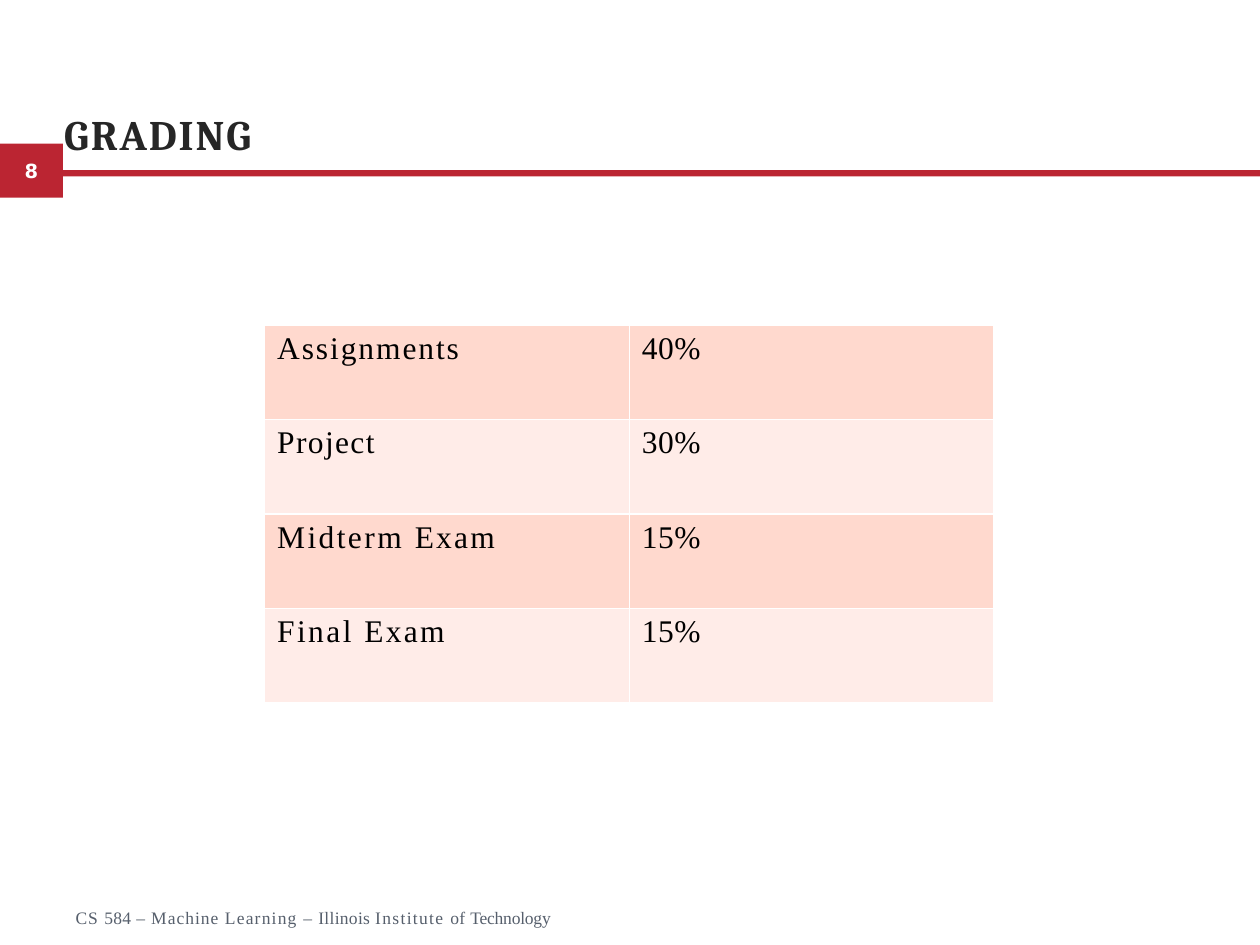
from lxml import etree
from pptx import Presentation
from pptx.dml.color import RGBColor
from pptx.enum.shapes import MSO_SHAPE
from pptx.enum.text import MSO_ANCHOR, MSO_AUTO_SIZE, PP_ALIGN
from pptx.oxml.ns import qn
from pptx.util import Inches, Pt

RECT = MSO_SHAPE.RECTANGLE
MIDDLE, BOTTOM = MSO_ANCHOR.MIDDLE, MSO_ANCHOR.BOTTOM
LEFT, CENTER = PP_ALIGN.LEFT, PP_ALIGN.CENTER
NO_FIT = MSO_AUTO_SIZE.NONE

COLORS = {
    "red": "BB2532",
    "white": "FFFFFF",
    "title": "262626",
    "foot": "565F6C",
    "text": "000000",
    "dark": "FFD9CE",
    "light": "FFECE8",
}
SERIF = "Times New Roman"
GRADES = [
    ([("Assignments", 1.1)], "40%"),
    ([("Project", 0.8)], "30%"),
    ([("Midterm ", 1.4), ("Exam", 1.3)], "15%"),
    ([("Final ", 1.4), ("Exam", 1.3)], "15%"),
]
FOOTER = [
    ("CS ", 0.6), ("584 ", 0.2), ("–", 0.5), (" Machine ", 0.6),
    ("Learning ", 0.7), ("– ", 0.5), ("Illinois ", 0.2),
    ("Institute ", 0.8), ("of ", 0.2), ("Technology", -0.1),
]


def color(name):
    return RGBColor.from_string(COLORS[name])


def write(frame, runs, font, size, tint, bold=False, align=LEFT):
    para = frame.paragraphs[0]
    para.alignment = align
    for text, gap in runs:
        run = para.add_run()
        run.text = text
        run.font._element.set("spc", str(round(gap * 100)))
    para.font.name = font
    para.font.size = Pt(size)
    para.font.bold = bold
    para.font.color.rgb = color(tint)


def inset(box, left=0, top=0):
    box.margin_left, box.margin_top = Inches(left), Inches(top)
    box.margin_right = box.margin_bottom = 0


def add_bar(slide, *place):
    bar = slide.shapes.add_shape(RECT, *map(Inches, place))
    bar.shadow.inherit = False
    bar.fill.solid()
    bar.fill.fore_color.rgb = color("red")
    bar.line.fill.background()
    return bar


def add_badge(slide):
    frame = add_bar(slide, 0, 1.14, 0.5, 0.43).text_frame
    inset(frame)
    frame.vertical_anchor = MIDDLE
    write(frame, [("8", 0)], "DejaVu Sans", 11.1, "white", True, CENTER)


def set_title(slide):
    title = slide.shapes.title
    title.left, title.top = Inches(0.5), Inches(0.38)
    title.width, title.height = Inches(9), Inches(0.88)
    frame = title.text_frame
    inset(frame, 0.01, 0.1)
    frame.auto_size = NO_FIT
    frame.vertical_anchor = BOTTOM
    write(frame, [("GRADING", 1.1)], "Cambria", 24, "title", True)


def add_footer(slide):
    place = map(Inches, (0.59, 7.2, 3.94, 0.19))
    frame = slide.shapes.add_textbox(*place).text_frame
    inset(frame, 0.01)
    frame.word_wrap = True
    write(frame, FOOTER, SERIF, 10, "foot")


def add_edges(cell):
    props = cell._tc.get_or_add_tcPr()
    for side in ("lnL", "lnR", "lnT", "lnB"):
        edge = etree.SubElement(props, qn(f"a:{side}"), w=str(Pt(1)))
        fill = etree.SubElement(edge, qn("a:solidFill"))
        etree.SubElement(fill, qn("a:srgbClr"), val=COLORS["white"])


def fill_cell(cell, runs, tint):
    add_edges(cell)
    cell.fill.solid()
    cell.fill.fore_color.rgb = color(tint)
    inset(cell, 0.1, 0.05)
    write(cell.text_frame, runs, SERIF, 18, "text")


def add_grades(slide):
    place = map(Inches, (2.1, 2.58, 5.79, 3))
    table = slide.shapes.add_table(len(GRADES), 2, *place).table
    table.first_row = table.horz_banding = False
    for row, (name, share) in enumerate(GRADES):
        tint = "light" if row % 2 else "dark"
        fill_cell(table.cell(row, 0), name, tint)
        fill_cell(table.cell(row, 1), [(share, 0.3)], tint)


def main():
    deck = Presentation()
    deck.slide_width, deck.slide_height = Inches(10), Inches(7.5)
    slide = deck.slides.add_slide(deck.slide_layouts[5])
    add_badge(slide)
    add_bar(slide, 0.5, 1.35, 9.5, 0.05)
    set_title(slide)
    add_footer(slide)
    add_grades(slide)
    deck.save("out.pptx")


if __name__ == "__main__":
    main()
